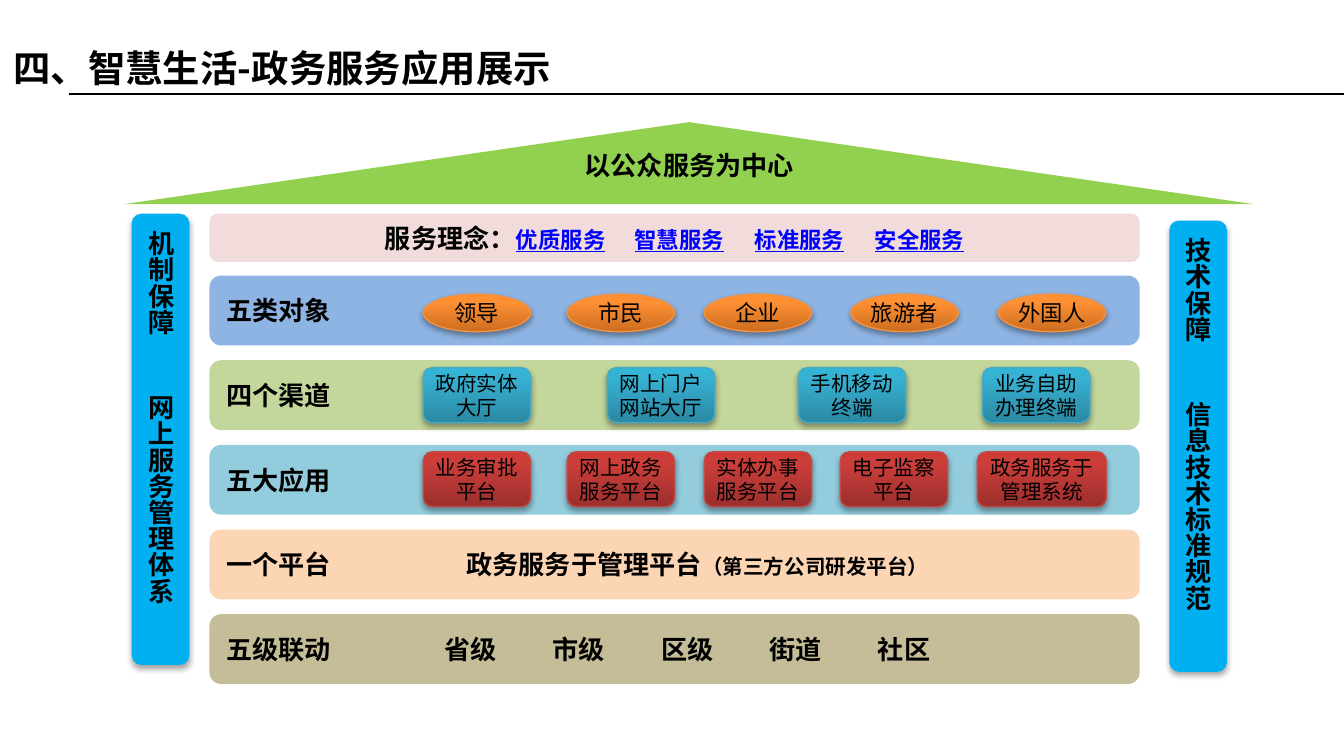
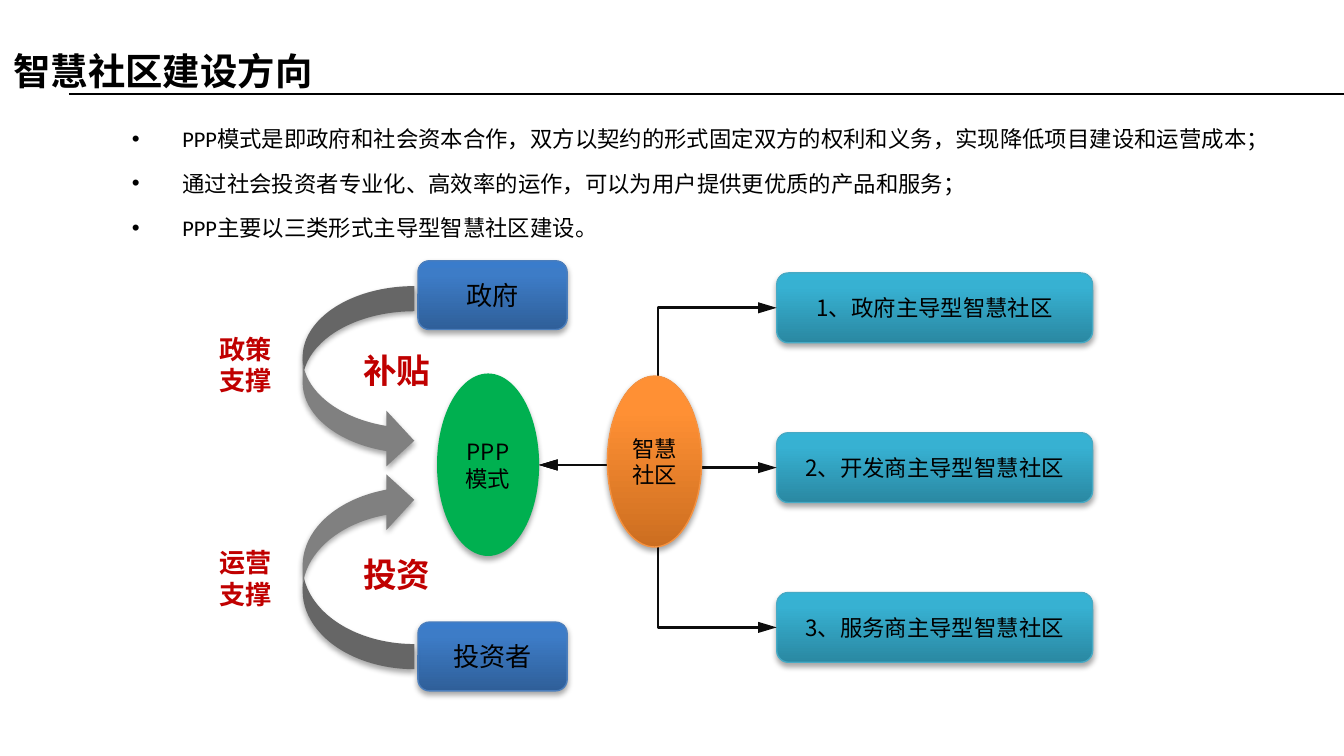
from copy import deepcopy

from lxml import etree
from pptx import Presentation
from pptx.dml.color import RGBColor
from pptx.enum.shapes import MSO_CONNECTOR, MSO_SHAPE
from pptx.enum.text import MSO_ANCHOR, MSO_AUTO_SIZE, PP_ALIGN
from pptx.oxml.ns import qn
from pptx.util import Cm, Pt

ROUNDED = MSO_SHAPE.ROUNDED_RECTANGLE
OVAL = MSO_SHAPE.OVAL
TRIANGLE = MSO_SHAPE.ISOSCELES_TRIANGLE
CURVED_ARROW = MSO_SHAPE.CURVED_RIGHT_ARROW
STRAIGHT = MSO_CONNECTOR.STRAIGHT
ELBOW = MSO_CONNECTOR.ELBOW
LEFT = PP_ALIGN.LEFT
CENTER = PP_ALIGN.CENTER
MIDDLE = MSO_ANCHOR.MIDDLE
NO_AUTOFIT = MSO_AUTO_SIZE.NONE

CJK_FONT = "Noto Sans CJK SC"
BODY_FONT = "Calibri"

BLACK = RGBColor(0x00, 0x00, 0x00)
NEAR_BLACK = RGBColor(0x0D, 0x0D, 0x0D)
LINK_BLUE = RGBColor(0x00, 0x00, 0xFF)
DARK_RED = RGBColor(0xC0, 0x00, 0x00)
ROOF_GREEN = RGBColor(0x92, 0xD0, 0x50)
PILLAR_BLUE = RGBColor(0x00, 0xB0, 0xF0)
PPP_GREEN = RGBColor(0x00, 0xB0, 0x50)
ARROW_GRAY = RGBColor(0x80, 0x80, 0x80)
PALE_PINK = RGBColor(0xF2, 0xDC, 0xDB)
PALE_BLUE = RGBColor(0x8E, 0xB4, 0xE3)
PALE_GREEN = RGBColor(0xC3, 0xD6, 0x9B)
PALE_TEAL = RGBColor(0x93, 0xCD, 0xDD)
PALE_ORANGE = RGBColor(0xFC, 0xD5, 0xB5)
PALE_TAN = RGBColor(0xC4, 0xBD, 0x97)

GLOSS_POSITIONS = (0, 0.8, 1)
RED_GLOSS = [RGBColor(0x9C, 0x2F, 0x2D), RGBColor(0xCB, 0x3E, 0x3A),
             RGBColor(0xCE, 0x3B, 0x37), RGBColor(0xBF, 0x4C, 0x48)]
TEAL_GLOSS = [RGBColor(0x2A, 0x88, 0xA2), RGBColor(0x37, 0xB1, 0xD2),
              RGBColor(0x34, 0xB4, 0xD6), RGBColor(0x46, 0xAA, 0xC5)]
ORANGE_GLOSS = [RGBColor(0xCC, 0x6E, 0x20), RGBColor(0xFF, 0x90, 0x34),
                RGBColor(0xFF, 0x91, 0x36), RGBColor(0xF6, 0x92, 0x40)]
BLUE_GLOSS = [RGBColor(0x2F, 0x5F, 0x99), RGBColor(0x3D, 0x7C, 0xC7),
              RGBColor(0x3A, 0x7C, 0xCB), RGBColor(0x4B, 0x7E, 0xBC)]


def add_run(paragraph, text, size, bold=False, color=BLACK, font=CJK_FONT):
    run = paragraph.add_run()
    run.text = text
    run.font.size = Pt(size)
    run.font.bold = bold
    run.font.color.rgb = color
    run.font.name = font
    if font == CJK_FONT:
        etree.SubElement(run._r.get_or_add_rPr(), qn("a:ea"), typeface=font)
    return run


def draw(slide, kind, bounds, fill=None, text="", size=12, bold=False, color=BLACK,
         align=CENTER, pad=(0.25, 0.13), tabs=(), shadow=False):
    bounds = [Cm(length) for length in bounds]
    if kind is None:
        shape = slide.shapes.add_textbox(*bounds)
    else:
        shape = slide.shapes.add_shape(kind, *bounds)
    shape.shadow.inherit = False
    shape.line.fill.background()
    if fill is None:
        shape.fill.background()
    elif isinstance(fill, list):
        shadow = True
        shape.fill.gradient()
        shape.fill.gradient_angle = 90
        stops = shape._element.spPr.find(".//" + qn("a:gsLst"))
        stops.insert(1, deepcopy(stops[0]))
        for stop, position, shade in zip(shape.fill.gradient_stops, GLOSS_POSITIONS, fill):
            stop.position = position
            stop.color.rgb = shade
        shape.line.color.rgb = fill[-1]
        shape.line.width = Pt(0.75)
    else:
        shape.fill.solid()
        shape.fill.fore_color.rgb = fill
    if shadow:
        effects = shape._element.spPr.find(qn("a:effectLst"))
        outer = etree.SubElement(effects, qn("a:outerShdw"), blurRad=str(Pt(3.1)),
                                 dist=str(Pt(1.8)), dir="5400000", rotWithShape="0")
        shade = etree.SubElement(outer, qn("a:srgbClr"), val="000000")
        etree.SubElement(shade, qn("a:alpha"), val="35000")
    if text:
        frame = shape.text_frame
        frame.word_wrap = True
        frame.vertical_anchor = MIDDLE
        frame.margin_left = frame.margin_right = Cm(pad[0])
        frame.margin_top = frame.margin_bottom = Cm(pad[1])
        for index, line in enumerate(text.split("\n")):
            paragraph = frame.add_paragraph() if index else frame.paragraphs[0]
            paragraph.alignment = align
            if tabs:
                tab_list = etree.SubElement(paragraph._p.get_or_add_pPr(), qn("a:tabLst"))
                for tab in tabs:
                    etree.SubElement(tab_list, qn("a:tab"), pos=str(Cm(tab)), algn="l")
            add_run(paragraph, line, size, bold, color)
    return shape


prs = Presentation()
prs.slide_width = Cm(25.4)
prs.slide_height = Cm(14.29)

slides = []
for layout_index, heading, heading_top in (
    (5, "四、智慧生活-政务服务应用展示", 0.5),
    (1, "智慧社区建设方向", 0.56),
):
    slide = prs.slides.add_slide(prs.slide_layouts[layout_index])
    title = slide.shapes.title
    title.left, title.top, title.width, title.height = Cm(0), Cm(heading_top), Cm(22.86), Cm(1.14)
    title.text_frame.auto_size = NO_AUTOFIT
    title.text_frame.vertical_anchor = MIDDLE
    title.text_frame.paragraphs[0].alignment = LEFT
    title.text_frame.paragraphs[0].line_spacing = 1.5
    add_run(title.text_frame.paragraphs[0], heading, 20, True)
    rule = slide.shapes.add_connector(STRAIGHT, Cm(1.3), Cm(1.78), Cm(25.4), Cm(1.78))
    rule.line.color.rgb = BLACK
    rule.line.width = Pt(0.75)
    etree.SubElement(rule._element.spPr, qn("a:effectLst"))
    slides.append(slide)
services, direction = slides

draw(services, TRIANGLE, (2.34, 2.31, 21.36, 1.55), ROOF_GREEN)
draw(services, None, (10.72, 2.69, 4.62, 0.86), text="以公众服务为中心", size=14, bold=True)

concept = draw(services, ROUNDED, (3.96, 4.04, 17.58, 0.91), PALE_PINK, "服务理念：", 14, True,
               align=LEFT, pad=(3.27, 0.13), tabs=[4.72 + 2.27 * i for i in range(3)])
concept.text_frame.margin_right = Cm(0.25)
concept_line = concept.text_frame.paragraphs[0]
for index, quality in enumerate(("优质服务", "智慧服务", "标准服务", "安全服务")):
    if index:
        add_run(concept_line, "\t", 12, True, LINK_BLUE)
    add_run(concept_line, quality, 12, True, LINK_BLUE).font.underline = True

level_tabs = [4.12 + 2.05 * i for i in range(5)]
layers = []
for index, (label, tint, tabs) in enumerate((
    ("五类对象", PALE_BLUE, ()),
    ("四个渠道", PALE_GREEN, ()),
    ("五大应用", PALE_TEAL, ()),
    ("一个平台\t政务服务于管理平台", PALE_ORANGE, (4.54,)),
    ("五级联动\t省级\t市级\t区级\t街道\t社区", PALE_TAN, level_tabs),
)):
    layers.append(draw(services, ROUNDED, (3.96, 5.21 + 1.6 * index, 17.58, 1.32), tint, label,
                       14, True, align=LEFT, tabs=tabs))
add_run(layers[3].text_frame.paragraphs[0], "（第三方公司研发平台）", 11, True)

for kind, gloss, top, height, size, pad, items in (
    (ROUNDED, RED_GLOSS, 8.54, 1.04, 11, (0.1, 0), (
        (8, 2.03, "业务审批平台"), (10.72, 2.03, "网上政务\n服务平台"),
        (13.31, 2.03, "实体办事服务平台"), (15.88, 2.03, "电子监察平台"),
        (18.47, 2.44, "政务服务于管理系统"))),
    (ROUNDED, TEAL_GLOSS, 6.95, 1.04, 11, (0.1, 0), (
        (8, 2.03, "政府实体大厅"), (11.48, 2.03, "网上门户网站大厅"),
        (15.09, 2.03, "手机移动终端"), (18.57, 2.03, "业务自助办理终端"))),
    (OVAL, ORANGE_GLOSS, 5.56, 0.71, 12, (0, 0), (
        (8, 2.03, "领导"), (10.72, 2.03, "市民"), (13.31, 2.03, "企业"),
        (16.08, 2.03, "旅游者"), (18.87, 2.03, "外国人"))),
):
    for left, width, label in items:
        draw(services, kind, (left, top, width, height), gloss, label, size, pad=pad)

for left, top, label in (
    (2.49, 4.04, "机制保障\t网上服务管理体系"),
    (22.1, 4.17, "技术保障\t信息技术标准规范"),
):
    pillar = draw(services, ROUNDED, (left, top, 1.09, 8.53), PILLAR_BLUE, label, 14, True,
                  align=LEFT, pad=(0.2, 0.27), tabs=(3.1,), shadow=True)
    pillar.text_frame._txBody.bodyPr.set("vert", "eaVert")

points = direction.placeholders[1]
points.left, points.top, points.width, points.height = Cm(2.24), Cm(1.98), Cm(23.16), Cm(2.77)
points.text_frame.auto_size = NO_AUTOFIT
for index, sentence in enumerate((
    "PPP模式是即政府和社会资本合作，双方以契约的形式固定双方的权利和义务，实现降低项目建设和运营成本；",
    "通过社会投资者专业化、高效率的运作，可以为用户提供更优质的产品和服务；",
    "PPP主要以三类形式主导型智慧社区建设。",
)):
    point = points.text_frame.add_paragraph() if index else points.text_frame.paragraphs[0]
    point.line_spacing = 1.5
    point.space_before = Pt(2.4 if index else 0)
    add_run(point, sentence, 12, font=BODY_FONT)

for top, partner in ((4.93, "政府"), (11.76, "投资者")):
    draw(direction, ROUNDED, (7.9, top, 2.82, 1.3), BLUE_GLOSS, partner, 14)

draw(direction, OVAL, (8.26, 7.06, 1.93, 3.45), PPP_GREEN, "PPP\n模式", 12, pad=(0, 0), shadow=True)

for top, height, flipped in ((5.41, 3.45, False), (8.92, 3.73, True)):
    flow = draw(direction, CURVED_ARROW, (5.72, top, 2.11, height), ARROW_GRAY, shadow=True)
    for index, ratio in enumerate((0.225, 0.5, 0.25)):
        flow.adjustments[index] = ratio
    if flipped:
        flow._element.spPr.xfrm.set("flipV", "1")

for support_top, support, funding_top, funding in (
    (5.99, "政策支撑", 6.48, "补贴"),
    (10.03, "运营支撑", 10.34, "投资"),
):
    draw(direction, ROUNDED, (3.66, support_top, 1.98, 1.8), None, support, 14, True, DARK_RED)
    draw(direction, None, (6.6, funding_top, 1.8, 1.02), None, funding, 18, True, DARK_RED,
         pad=(0.1, 0.13))

for index, model in enumerate((
    "1、政府主导型智慧社区", "2、开发商主导型智慧社区", "3、服务商主导型智慧社区",
)):
    model_top = 5.16 + 3.02 * index
    model_box = draw(direction, ROUNDED, (14.68, model_top, 5.97, 1.32), TEAL_GLOSS, model, 12)
    link = direction.shapes.add_connector(ELBOW, Cm(10.19), Cm(8.79), Cm(14.68), Cm(model_top + 0.66))
    link.end_connect(model_box, 1)
    link.line.color.rgb = NEAR_BLACK
    link.line.width = Pt(1.5)
    for end in ("a:headEnd", "a:tailEnd"):
        etree.SubElement(link.line._get_or_add_ln(), qn(end), type="triangle", len="lg")
    etree.SubElement(link._element.spPr, qn("a:effectLst"))

draw(direction, OVAL, (11.48, 7.11, 1.78, 3.23), ORANGE_GLOSS, "智慧社区", 12, pad=(0, 0))

prs.save("out.pptx")
